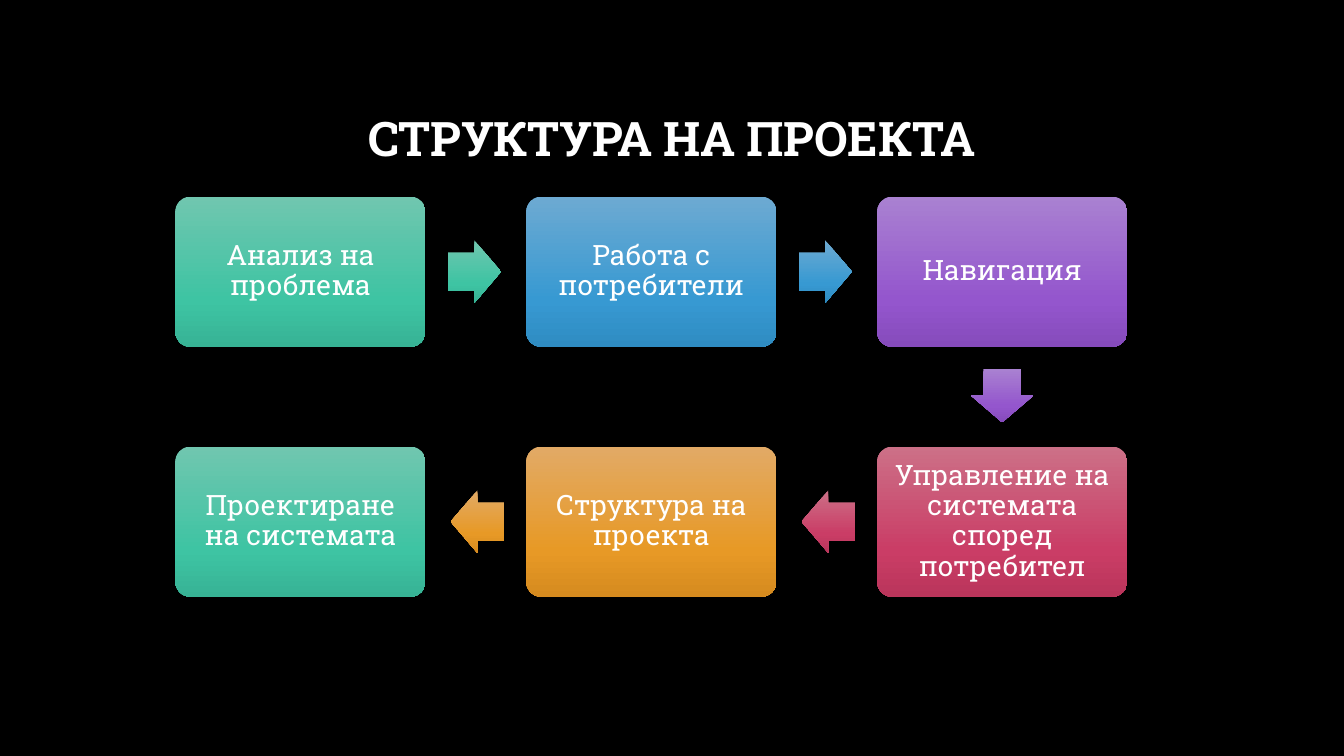
from copy import deepcopy

from pptx import Presentation
from pptx.dml import color
from pptx.enum import shapes, text
from pptx.oxml import ns
from pptx.util import Inches, Pt

FONT = "Roboto Slab"
WHITE = "FFFFFF"
GREEN = ("70C6AF", "3EC4A3", "37B395")
BLUE = ("6DAAD2", "3799D2", "2F8CC2")
PURPLE = ("A981D1", "9456CD", "864BBC")
RED = ("CC7087", "CA3D66", "BA355B")
ORANGE = ("E2AA66", "E79926", "D68B1F")
STOP_POSITIONS = (0, 0.69, 1)

STEPS = [
    ("Анализ на проблема", GREEN, 0, 0, "right"),
    ("Работа с потребители", BLUE, 1, 0, "right"),
    ("Навигация", PURPLE, 2, 0, "down"),
    ("Управление на системата според потребител", RED, 2, 1, "left"),
    ("Структура на проекта", ORANGE, 1, 1, "left"),
    ("Проектиране на системата", GREEN, 0, 1, None),
]
BOX_WIDTH, BOX_HEIGHT = 2.48, 1.49
COLUMN_STEP, ROW_STEP = 3.48, 2.48
ARROW_LENGTH, ARROW_BREADTH, ARROW_GAP = 0.53, 0.62, 0.22


def rgb(value):
    return color.RGBColor.from_string(value)


def write_text(shape, content, size, bold=False, margin=0.1):
    frame = shape.text_frame
    frame.word_wrap = True
    frame.auto_size = text.MSO_AUTO_SIZE.NONE
    frame.vertical_anchor = text.MSO_ANCHOR.MIDDLE
    frame.margin_left = frame.margin_right = Inches(margin)
    frame.margin_top = frame.margin_bottom = Inches(margin)
    paragraph = frame.paragraphs[0]
    paragraph.alignment = text.PP_ALIGN.CENTER
    paragraph.line_spacing = 0.9
    run = paragraph.add_run()
    run.text = content
    run.font.name = FONT
    run.font.size = Pt(size)
    run.font.bold = bold
    run.font.color.rgb = rgb(WHITE)


def add_gradient_shape(slide, kind, box, adjustments, colours):
    shape = slide.shapes.add_shape(kind, *map(Inches, box))
    shape.shadow.inherit = False
    shape.line.fill.background()
    for index, value in enumerate(adjustments):
        shape.adjustments[index] = value
    shape.fill.gradient()
    shape.fill.gradient_angle = 270
    stop_list = shape._element.spPr.find(ns.qn("a:gradFill")).find(ns.qn("a:gsLst"))
    stop_list.append(deepcopy(stop_list[-1]))
    for stop, position, colour in zip(shape.fill.gradient_stops, STOP_POSITIONS, colours):
        stop.position = position
        stop.color.rgb = rgb(colour)
    return shape


def add_arrow(slide, box, direction, colours):
    left, top, width, height = box
    middle_top = top + (height - ARROW_BREADTH) / 2
    kind, arrow_box = {
        "right": (
            shapes.MSO_SHAPE.RIGHT_ARROW,
            (left + width + ARROW_GAP, middle_top, ARROW_LENGTH, ARROW_BREADTH),
        ),
        "left": (
            shapes.MSO_SHAPE.LEFT_ARROW,
            (left - ARROW_GAP - ARROW_LENGTH, middle_top, ARROW_LENGTH, ARROW_BREADTH),
        ),
        "down": (
            shapes.MSO_SHAPE.DOWN_ARROW,
            (left + (width - ARROW_BREADTH) / 2, top + height + ARROW_GAP,
             ARROW_BREADTH, ARROW_LENGTH),
        ),
    }[direction]
    add_gradient_shape(slide, kind, arrow_box, (0.6, 0.5), colours)


def add_title(slide, box, content):
    title = slide.shapes.title
    title.left, title.top, title.width, title.height = map(Inches, box)
    write_text(title, content, size=34, bold=True)


def add_process(slide, left, top):
    for label, colours, column, row, direction in STEPS:
        box = (left + column * COLUMN_STEP, top + row * ROW_STEP, BOX_WIDTH, BOX_HEIGHT)
        step = add_gradient_shape(
            slide, shapes.MSO_SHAPE.ROUNDED_RECTANGLE, box, (0.1,), colours
        )
        write_text(step, label, size=20, margin=0.12)
        if direction:
            add_arrow(slide, box, direction, colours)


def main():
    presentation = Presentation()
    presentation.slide_width = Inches(13.33)
    presentation.slide_height = Inches(7.5)
    slide = presentation.slides.add_slide(presentation.slide_layouts[5])
    slide.background.fill.solid()
    slide.background.fill.fore_color.rgb = rgb("000000")
    add_title(slide, (1, 0.67, 11.32, 1.45), "СТРУКТУРА НА ПРОЕКТА")
    add_process(slide, 1.74, 1.95)
    presentation.save("out.pptx")


if __name__ == "__main__":
    main()
